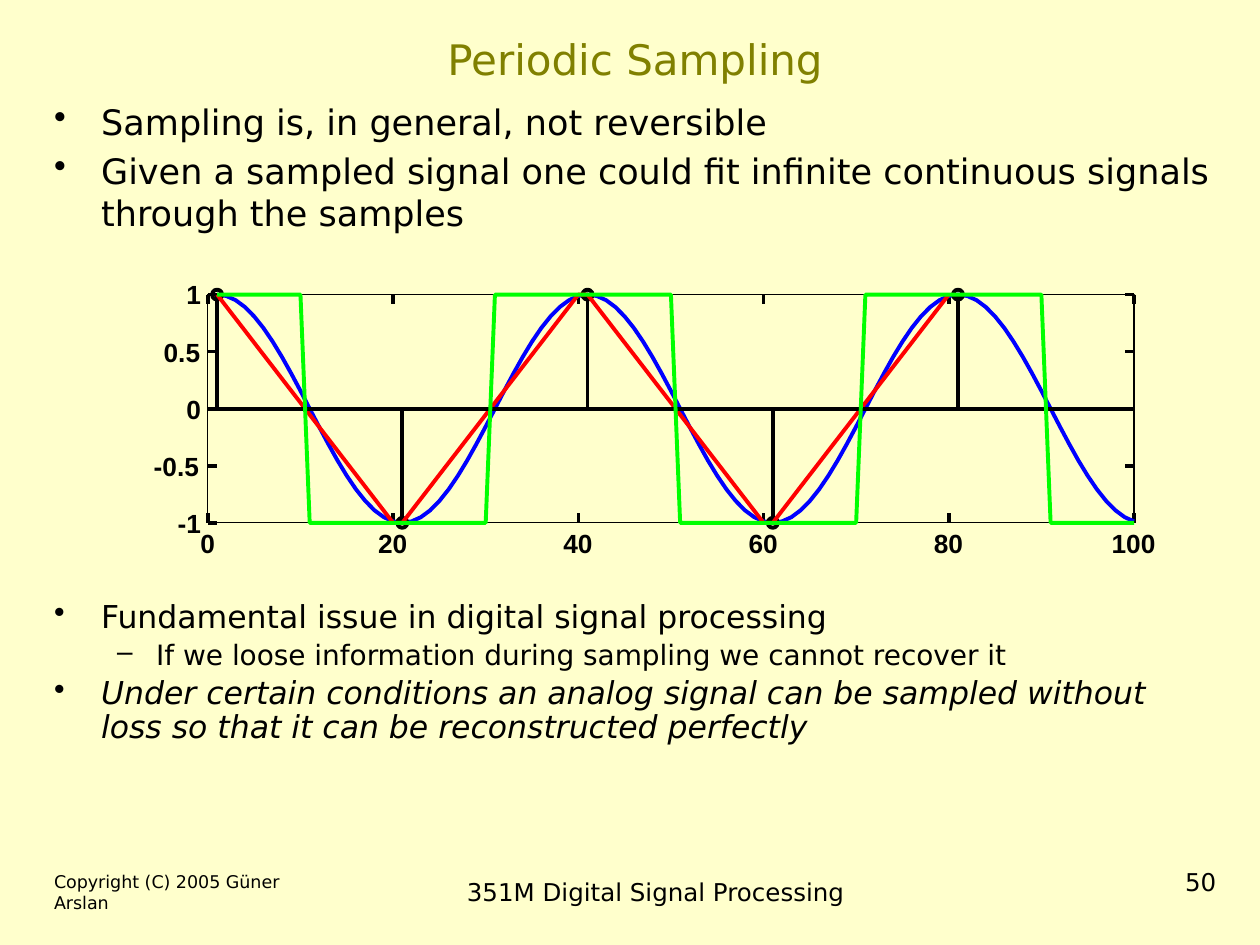
from math import cos, pi

from lxml import etree
from pptx import Presentation
from pptx.dml.color import RGBColor
from pptx.enum.shapes import MSO_CONNECTOR, MSO_SHAPE
from pptx.enum.text import MSO_ANCHOR, MSO_AUTO_SIZE, PP_ALIGN
from pptx.oxml.ns import qn
from pptx.util import Cm, Pt

LEFT, CENTER, RIGHT = PP_ALIGN.LEFT, PP_ALIGN.CENTER, PP_ALIGN.RIGHT
TOP, MIDDLE = MSO_ANCHOR.TOP, MSO_ANCHOR.MIDDLE
FIT_TEXT = MSO_AUTO_SIZE.SHAPE_TO_FIT_TEXT
STRAIGHT, OVAL, RECTANGLE = MSO_CONNECTOR.STRAIGHT, MSO_SHAPE.OVAL, MSO_SHAPE.RECTANGLE

CREAM = RGBColor(0xFF, 0xFF, 0xCC)
OLIVE = RGBColor(0x80, 0x80, 0x00)
BLACK = RGBColor(0x00, 0x00, 0x00)
BLUE = RGBColor(0x00, 0x00, 0xFF)
RED = RGBColor(0xFF, 0x00, 0x00)
GREEN = RGBColor(0x00, 0xFF, 0x00)

BODY_FONT, AXIS_FONT = "DejaVu Sans", "Arial"
HAIRLINE, THICK = 0, 2.25

PLOT_LEFT, PLOT_TOP, PLOT_WIDTH, PLOT_HEIGHT = 4.19, 5.94, 18.67, 4.6
PLOT_RIGHT, PLOT_BOTTOM = PLOT_LEFT + PLOT_WIDTH, PLOT_TOP + PLOT_HEIGHT
TICK = 0.19
MARKER = 0.2
PERIOD = 40
LAST_SAMPLE = 100
BULLETS = {0: ("•", 0.95, -0.95), 1: ("–", 2.06, -0.79)}


def plot_x(sample):
    return PLOT_LEFT + PLOT_WIDTH * sample / LAST_SAMPLE


def plot_y(value):
    return PLOT_TOP + PLOT_HEIGHT * (1 - value) / 2


def cosine(sample):
    return cos(2 * pi * (sample - 1) / PERIOD)


def triangle(sample):
    half, step = divmod((sample - 1) % PERIOD, PERIOD // 2)
    fall = 1 - 2 * step / (PERIOD // 2 - 1)
    return -fall if half else fall


def square(sample):
    return -1 if 10 <= (sample - 1) % PERIOD < 30 else 1


def add_run(paragraph, text, size, color=BLACK, font=BODY_FONT, bold=False, italic=False):
    run = paragraph.add_run()
    run.text = text
    run.font.name = font
    run.font.size = Pt(size)
    run.font.bold = bold
    run.font.italic = italic
    run.font.color.rgb = color


def add_frame(slide, left, top, width, height, anchor=TOP, wrap=True):
    frame = slide.shapes.add_textbox(Cm(left), Cm(top), Cm(width), Cm(height)).text_frame
    frame.word_wrap = wrap
    frame.vertical_anchor = anchor
    return frame


def add_label(slide, box, text, size, align=LEFT, anchor=MIDDLE, wrap=True, color=BLACK):
    paragraph = add_frame(slide, *box, anchor, wrap).paragraphs[0]
    paragraph.alignment = align
    add_run(paragraph, text, size, color)


def add_bullets(slide, box, items, line_spacing=1.0):
    frame = add_frame(slide, *box)
    for index, (level, text, size, italic) in enumerate(items):
        paragraph = frame.add_paragraph() if index else frame.paragraphs[0]
        paragraph.level = level
        paragraph.line_spacing = line_spacing
        paragraph.space_before = Pt(size * 0.2)
        symbol, margin, indent = BULLETS[level]
        properties = paragraph._p.get_or_add_pPr()
        properties.set("marL", str(Cm(margin)))
        properties.set("indent", str(Cm(indent)))
        etree.SubElement(properties, qn("a:buChar")).set("char", symbol)
        add_run(paragraph, text, size, italic=italic)


def add_axis_label(slide, left, top, width, text):
    frame = add_frame(slide, left, top, width, 0.81, wrap=False)
    frame.margin_left = frame.margin_right = frame.margin_top = frame.margin_bottom = 0
    frame.auto_size = FIT_TEXT
    add_run(frame.paragraphs[0], text, 15, font=AXIS_FONT, bold=True)


def add_line(slide, x1, y1, x2, y2, weight):
    line = slide.shapes.add_connector(STRAIGHT, Cm(x1), Cm(y1), Cm(x2), Cm(y2))
    line.line.color.rgb = BLACK
    line.line.width = Pt(weight)
    etree.SubElement(line._element.spPr, qn("a:effectLst"))


def style_outline(shape, color, weight):
    shape.shadow.inherit = False
    shape.fill.background()
    shape.line.color.rgb = color
    shape.line.width = Pt(weight)


def add_outline(slide, preset, left, top, width, height, weight):
    shape = slide.shapes.add_shape(preset, Cm(left), Cm(top), Cm(width), Cm(height))
    style_outline(shape, BLACK, weight)


def add_curve(slide, signal, last, color):
    points = [(Cm(plot_x(n)), Cm(plot_y(signal(n)))) for n in range(1, last + 1)]
    builder = slide.shapes.build_freeform(*points[0])
    builder.add_line_segments(points[1:], close=False)
    style_outline(builder.convert_to_shape(), color, THICK)


def add_axes(slide):
    add_outline(slide, RECTANGLE, PLOT_LEFT, PLOT_TOP, PLOT_WIDTH, PLOT_HEIGHT, HAIRLINE)
    for sample in range(0, LAST_SAMPLE + 1, 20):
        x, text = plot_x(sample), str(sample)
        add_line(slide, x, PLOT_TOP, x, PLOT_TOP + TICK, HAIRLINE)
        add_line(slide, x, PLOT_BOTTOM, x, PLOT_BOTTOM - TICK, HAIRLINE)
        add_axis_label(slide, x - 0.15 * len(text), 10.62, 0.28 + 0.33 * len(text), text)
    for text, left, width in (("1", 3.76, 0.61), ("0.5", 3.3, 1.12), ("0", 3.76, 0.61),
                              ("-0.5", 3.1, 1.32), ("-1", 3.58, 0.81)):
        y = plot_y(float(text))
        add_line(slide, PLOT_LEFT, y, PLOT_LEFT + TICK, y, HAIRLINE)
        add_line(slide, PLOT_RIGHT, y, PLOT_RIGHT - TICK, y, HAIRLINE)
        add_axis_label(slide, left, y - 0.32, width, text)


def add_samples(slide):
    for sample in range(1, LAST_SAMPLE, PERIOD // 2):
        x, y = plot_x(sample), plot_y(cosine(sample))
        add_outline(slide, OVAL, x - MARKER / 2, y - MARKER / 2, MARKER, MARKER, THICK)
        add_line(slide, x, plot_y(0), x, y, THICK)


def main():
    presentation = Presentation()
    presentation.slide_width, presentation.slide_height = Cm(25.4), Cm(19.05)
    slide = presentation.slides.add_slide(presentation.slide_layouts[6])
    slide.background.fill.solid()
    slide.background.fill.fore_color.rgb = CREAM

    add_label(slide, (0.84, 17.35, 5.08, 1.27), "Copyright (C) 2005 Güner Arslan", 10, wrap=False)
    add_label(slide, (5.92, 17.35, 14.6, 1.27), "351M Digital Signal Processing", 14, CENTER)
    add_label(slide, (20.75, 17.35, 4.02, 1.27), "50", 14, RIGHT, TOP)
    add_label(slide, (0.84, 0.64, 23.93, 1.07), "Periodic Sampling", 24, CENTER, color=OLIVE)
    add_bullets(slide, (0.84, 1.9, 23.93, 3.28), [
        (0, "Sampling is, in general, not reversible", 20, False),
        (0, "Given a sampled signal one could fit infinite continuous signals "
            "through the samples", 20, False),
    ])

    add_axes(slide)
    add_curve(slide, cosine, LAST_SAMPLE, BLUE)
    add_samples(slide)
    add_curve(slide, triangle, 2 * PERIOD, RED)
    add_line(slide, plot_x(1), plot_y(0), PLOT_RIGHT, plot_y(0), THICK)
    add_curve(slide, square, LAST_SAMPLE, GREEN)

    add_bullets(slide, (0.84, 12, 23.93, 4.39), [
        (0, "Fundamental issue in digital signal processing", 18, False),
        (1, "If we loose information during sampling we cannot recover it", 16, False),
        (0, "Under certain conditions an analog signal can be sampled without "
            "loss so that it can be reconstructed perfectly", 18, True),
    ], 0.9)
    presentation.save("out.pptx")


main()
